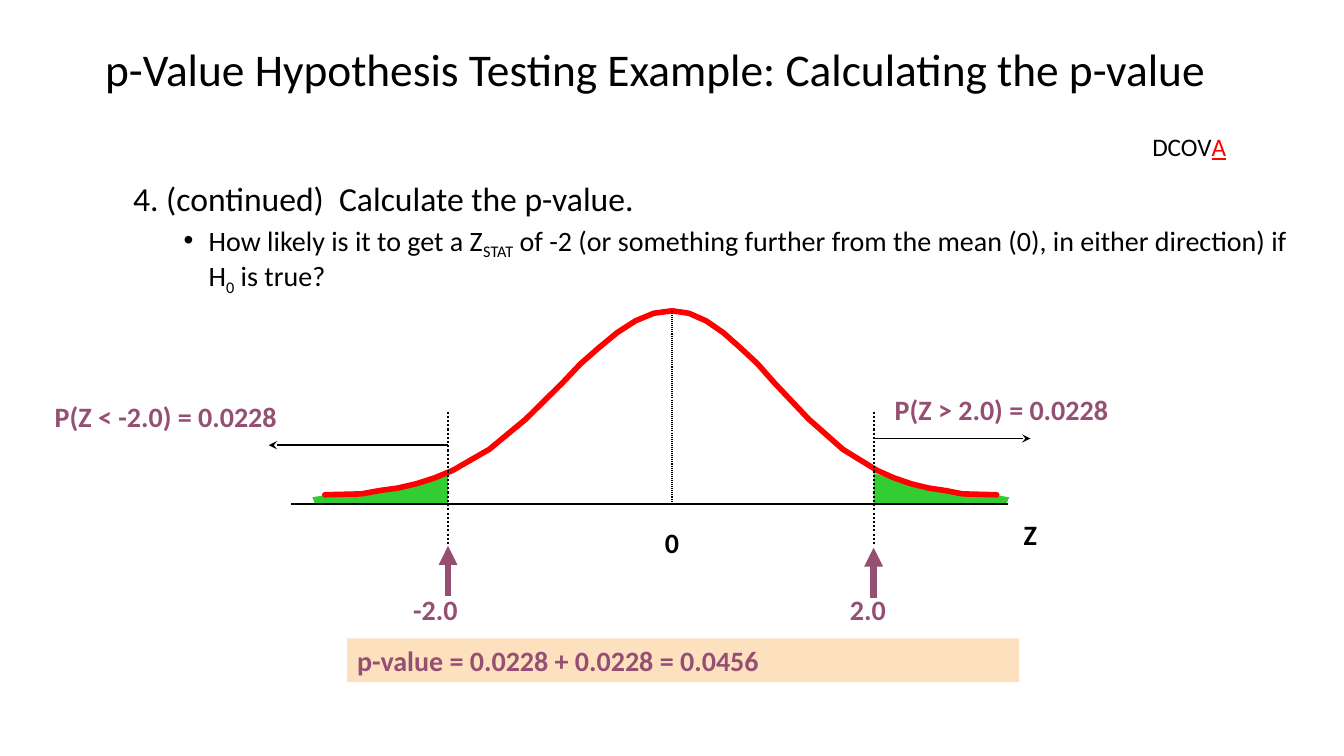
"""Build the slide that finds a two-tailed p-value under a normal curve."""
from dataclasses import dataclass
from typing import Optional

from lxml.etree import SubElement
from pptx import Presentation
from pptx.dml.color import RGBColor
from pptx.enum.dml import MSO_LINE
from pptx.enum.shapes import MSO_CONNECTOR, MSO_SHAPE
from pptx.enum.text import MSO_ANCHOR, PP_ALIGN
from pptx.oxml.ns import qn
from pptx.util import Inches, Pt

WIDTH, HEIGHT = Inches(13.33), Inches(7.5)
COLUMNS, ROWS = 120, 90


@dataclass(frozen=True)
class Theme:
    font: str = "Calibri"
    ink: str = "000000"
    accent: str = "954F72"
    curve: str = "FF0000"
    tail: str = "33CC33"
    band: str = "FDE0BD"
    title: float = 32.4
    step: float = 24
    body: float = 20
    tag: float = 18


THEME = Theme()


@dataclass(frozen=True)
class Run:
    text: str
    size: float = THEME.body
    color: str = THEME.ink
    bold: bool = False
    underline: bool = False
    baseline: int = 0


@dataclass(frozen=True)
class Label:
    text: str
    col: float
    row: float
    cols: float
    color: str = THEME.accent
    align: PP_ALIGN = PP_ALIGN.LEFT
    fill: Optional[str] = None


@dataclass(frozen=True)
class Line:
    start: tuple[float, float]
    end: tuple[float, float]
    width: float
    color: str = THEME.ink
    dotted: bool = False
    head: Optional[str] = None


AXIS_ROW, PEAK_ROW = 60, 37
LEFT_CUT, MEAN, RIGHT_CUT = 40, 60, 78
LABEL_ROWS = 5.2

LABELS = [
    Label("p-value = 0.0228 + 0.0228 = 0.0456", 31, 76, 60, fill=THEME.band),
    Label("P(Z < -2.0) = 0.0228", 4, 47, 35),
    Label("P(Z > 2.0) = 0.0228", 79, 46.1, 35),
    Label("-2.0", 36, 70, 9),
    Label("2.0", 75, 70, 9),
    Label("0", 57, 62, 6, THEME.ink, PP_ALIGN.CENTER),
    Label("Z", 89, 61, 6, THEME.ink, PP_ALIGN.CENTER),
]
LINES = [
    Line((26, AXIS_ROW), (90, AXIS_ROW), 2),
    Line((MEAN, PEAK_ROW), (MEAN, AXIS_ROW), 0.75, dotted=True),
    Line((LEFT_CUT, 53), (24, 53), 1, head="stealth"),
    Line((RIGHT_CUT, 52.2), (92, 52.2), 1, head="stealth"),
]
for cut, base in ((LEFT_CUT, 71), (RIGHT_CUT, 71.2)):
    LINES += [
        Line((cut, base), (cut, base - 6), 4.5, THEME.accent, head="triangle"),
        Line((cut, 49), (cut, 65), 1.5, dotted=True),
    ]

BELL = [(19, 58.9), (17, 58.8), (16, 58.4), (15, 58.1), (14, 57.6), (13, 56.9),
        (12, 56), (10, 53.5), (8, 49.9), (6, 45.6), (5, 43.3), (4, 41.4),
        (3, 39.6), (2, 38.2), (1, 37.3), (0, PEAK_ROW)]
TAIL = [(11.9, 59.9), (12.1, 59.2), (10.8, 58.9), (7.1, 58.8), (3.2, 57.7),
        (0, 56.3), (0, AXIS_ROW), (11.9, AXIS_ROW)]
BELL_STEPS = 19


def x(col: float) -> int:
    """Turn a grid column into a slide length."""
    return round(WIDTH * col / COLUMNS)


def y(row: float) -> int:
    """Turn a grid row into a slide length."""
    return round(HEIGHT * row / ROWS)


def add_box(s, col: float, row: float, cols: float, rows: float, wrap: bool = True):
    """Add a text box on the grid."""
    sp = s.shapes.add_textbox(x(col), y(row), x(cols), y(rows))
    sp.text_frame.word_wrap = wrap
    return sp


def add_runs(p, runs: list[Run]) -> None:
    """Fill a paragraph with formatted runs."""
    for run in runs:
        r = p.add_run()
        r.text = run.text
        r.font.name, r.font.size = THEME.font, Pt(run.size)
        r.font.bold, r.font.underline = run.bold, run.underline
        r.font.color.rgb = RGBColor.from_string(run.color)
        if run.baseline:
            r._r.get_or_add_rPr().set("baseline", str(run.baseline * 1000))


def set_indent(p, margin: float, bullet: Optional[str] = None) -> None:
    """Give a paragraph a hanging indent and an optional bullet."""
    pPr = p._p.get_or_add_pPr()
    pPr.set("marL", str(Inches(margin)))
    pPr.set("indent", str(-Inches(0.25)))
    if bullet:
        SubElement(pPr, qn("a:buFont"), typeface="Arial")
        SubElement(pPr, qn("a:buChar"), char=bullet)


def add_label(s, label: Label) -> None:
    """Draw a one-line bold label, on a filled band if asked."""
    if label.fill:
        sp = s.shapes.add_shape(MSO_SHAPE.RECTANGLE, x(label.col), y(label.row),
                                x(label.cols), y(LABEL_ROWS))
        sp.shadow.inherit = False
        sp.fill.solid()
        sp.fill.fore_color.rgb = RGBColor.from_string(label.fill)
        sp.line.fill.background()
        sp.text_frame.word_wrap = True
    else:
        sp = add_box(s, label.col, label.row, label.cols, LABEL_ROWS)
    tf = sp.text_frame
    tf.vertical_anchor = MSO_ANCHOR.TOP
    p = tf.paragraphs[0]
    p.alignment = label.align
    add_runs(p, [Run(label.text, color=label.color, bold=True)])


def add_line(s, line: Line) -> None:
    """Draw a straight line, dotted or with an arrowhead."""
    (x1, y1), (x2, y2) = line.start, line.end
    sp = s.shapes.add_connector(MSO_CONNECTOR.STRAIGHT, x(x1), y(y1), x(x2), y(y2))
    sp.line.width = Pt(line.width)
    sp.line.color.rgb = RGBColor.from_string(line.color)
    if line.dotted:
        sp.line.dash_style = MSO_LINE.ROUND_DOT
    if line.head:
        SubElement(sp.line._get_or_add_ln(), qn("a:tailEnd"), type=line.head)
    SubElement(sp._element.spPr, qn("a:effectLst"))


def add_outline(s, origin: float, scale: float, points: list, closed: bool):
    """Trace points whose column offsets are scaled from an origin."""
    path = [(x(origin + scale * dx), y(row)) for dx, row in points]
    builder = s.shapes.build_freeform(*path[0])
    builder.add_line_segments(path[1:], close=closed)
    sp = builder.convert_to_shape()
    sp.shadow.inherit = False
    return sp


def add_tail(s, cut: float, side: int) -> None:
    """Shade the area beyond a cut-off."""
    sp = add_outline(s, cut, side, TAIL, True)
    sp.fill.solid()
    sp.fill.fore_color.rgb = RGBColor.from_string(THEME.tail)
    sp.line.fill.background()


def add_half_bell(s, reach: float) -> None:
    """Draw one half of the curve out to a signed reach in columns."""
    sp = add_outline(s, MEAN, reach / BELL_STEPS, BELL, False)
    sp.fill.background()
    sp.line.width = Pt(4)
    sp.line.color.rgb = RGBColor.from_string(THEME.curve)
    sp.line._get_or_add_ln().set("cap", "rnd")


def add_texts(s) -> None:
    """Write the title, the tag and the question."""
    tf = add_box(s, 8.5, 2, 105, 13).text_frame
    tf.vertical_anchor = MSO_ANCHOR.MIDDLE
    tf.paragraphs[0].line_spacing = 0.9
    add_runs(tf.paragraphs[0], [
        Run("p-Value Hypothesis Testing Example: Calculating the p-value", THEME.title)])
    tf = add_box(s, 11, 21.1, 106, 59.5).text_frame
    step, question = tf.paragraphs[0], tf.add_paragraph()
    step.line_spacing = question.line_spacing = 0.9
    question.level, question.space_before = 1, Pt(5)
    set_indent(step, 0.25)
    set_indent(question, 0.75, "•")
    add_runs(step, [Run("4. (continued)  Calculate the p-value.", THEME.step)])
    add_runs(question, [
        Run("How likely is it to get a Z"), Run("STAT", baseline=-20),
        Run(" of -2 (or something further from the mean (0), in either direction) if H"),
        Run("0", baseline=-25), Run(" is true?")])
    tf = add_box(s, 102, 15, 8.4, 4.8, wrap=False).text_frame
    add_runs(tf.paragraphs[0], [
        Run("DCOV", THEME.tag), Run("A", THEME.tag, THEME.curve, underline=True)])


def main() -> None:
    """Assemble and save the slide."""
    prs = Presentation()
    prs.slide_width, prs.slide_height = WIDTH, HEIGHT
    s = prs.slides.add_slide(prs.slide_layouts[6])
    add_texts(s)
    for cut, side in ((RIGHT_CUT, 1), (LEFT_CUT, -1)):
        add_tail(s, cut, side)
    for reach in (-31, 29):
        add_half_bell(s, reach)
    for line in LINES:
        add_line(s, line)
    for label in LABELS:
        add_label(s, label)
    prs.save("out.pptx")


if __name__ == "__main__":
    main()
